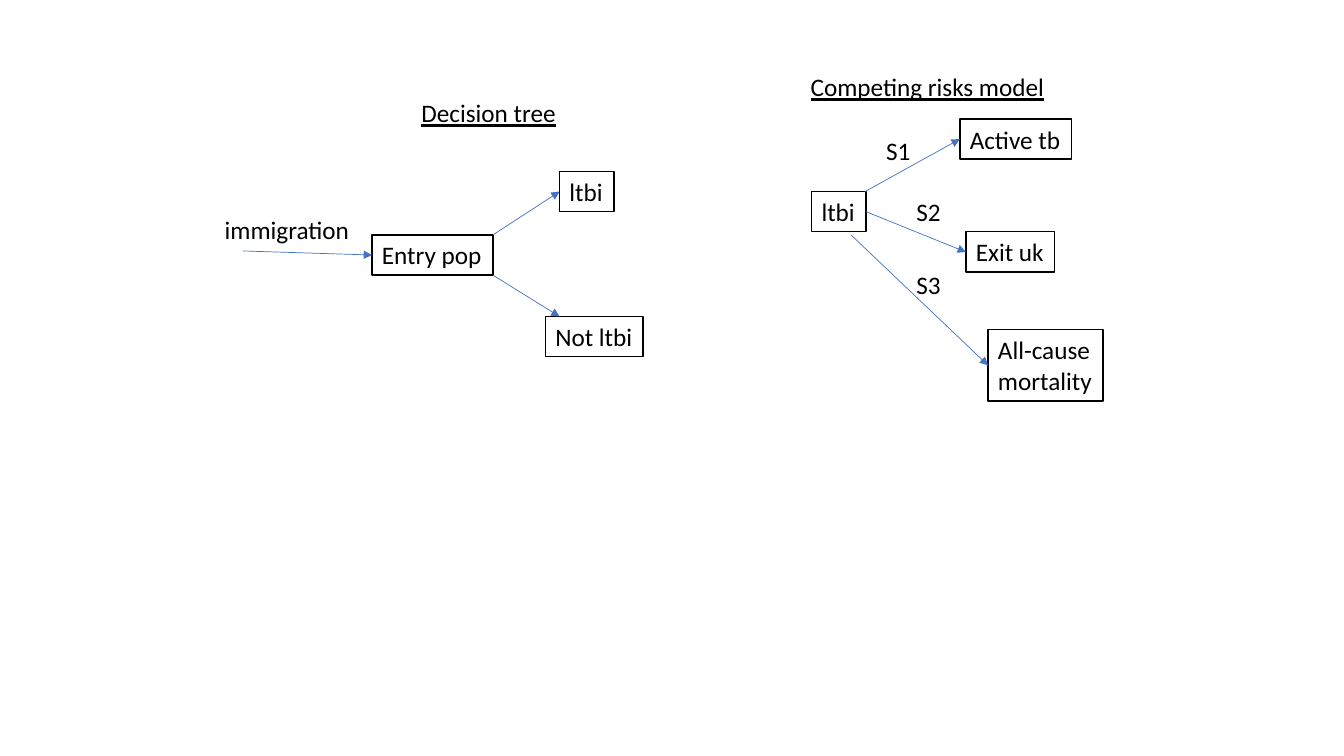
from dataclasses import dataclass

from lxml import etree
from pptx import Presentation
from pptx.dml.color import RGBColor
from pptx.enum.shapes import MSO_CONNECTOR, MSO_SHAPE
from pptx.enum.text import MSO_ANCHOR, MSO_AUTO_SIZE, PP_ALIGN
from pptx.oxml.ns import qn
from pptx.util import Inches, Pt

RECTANGLE = MSO_SHAPE.RECTANGLE
STRAIGHT = MSO_CONNECTOR.STRAIGHT
FIT_SHAPE = MSO_AUTO_SIZE.SHAPE_TO_FIT_TEXT
TOP = MSO_ANCHOR.TOP
LEFT = PP_ALIGN.LEFT

COMPARISON_LAYOUT = 4
LEFT_HEADING, RIGHT_HEADING = 1, 3
LEFT_SITE, RIGHT_SITE = 1, 3  # connection sites of a rectangle
CELL = Inches(1)  # the grid has square cells
COLUMNS, ROWS = 13.33, 7.5
TEXT_ROW = 0.4  # height of a single line of text with its margins


@dataclass(frozen=True)
class Theme:
    font: str = "Calibri"
    size: Pt = Pt(18)
    ink: RGBColor = RGBColor(0x00, 0x00, 0x00)
    paper: RGBColor = RGBColor(0xFF, 0xFF, 0xFF)
    accent: RGBColor = RGBColor(0x44, 0x72, 0xC4)
    border: Pt = Pt(1)
    arrow: Pt = Pt(0.5)


def cells(*lengths):
    return [round(length * CELL) for length in lengths]


def write_text(shape, text, *, theme, underline=False):
    """Fill a shape with one unwrapped paragraph per line of text."""
    frame = shape.text_frame
    frame.text = text
    frame.word_wrap = False
    frame.auto_size = FIT_SHAPE
    frame.vertical_anchor = TOP
    for paragraph in frame.paragraphs:
        paragraph.alignment = LEFT
        paragraph.space_before = Pt(0)
        font = paragraph.runs[0].font
        font.name, font.size, font.bold = theme.font, theme.size, False
        font.underline = underline
        font.color.rgb = theme.ink


class Diagram:
    def __init__(self, slide, theme):
        self.slide = slide
        self.theme = theme

    def heading(self, index, text, column, row, width):
        shape = self.slide.placeholders[index]
        shape.left, shape.top, shape.width, shape.height = cells(
            column, row, width, TEXT_ROW)
        write_text(shape, text, theme=self.theme, underline=True)

    def label(self, text, column, row, width):
        shape = self.slide.shapes.add_textbox(
            *cells(column, row, width, TEXT_ROW))
        write_text(shape, text, theme=self.theme)

    def box(self, text, column, row, width, height=TEXT_ROW):
        shape = self.slide.shapes.add_shape(
            RECTANGLE, *cells(column, row, width, height))
        shape.shadow.inherit = False
        shape.fill.solid()
        shape.fill.fore_color.rgb = self.theme.paper
        shape.line.color.rgb = self.theme.ink
        shape.line.width = self.theme.border
        write_text(shape, text, theme=self.theme)
        return shape

    def arrow(self, start, end):
        """Join two ends; each is a (column, row) point or a box.

        An arrow leaves a box on its right side and enters on its left.
        """
        start_point = cells(*start) if isinstance(start, tuple) else (0, 0)
        end_point = cells(*end) if isinstance(end, tuple) else (0, 0)
        connector = self.slide.shapes.add_connector(
            STRAIGHT, *start_point, *end_point)
        if not isinstance(start, tuple):
            connector.begin_connect(start, RIGHT_SITE)
        if not isinstance(end, tuple):
            connector.end_connect(end, LEFT_SITE)
        connector.line.color.rgb = self.theme.accent
        connector.line.width = self.theme.arrow
        outline = connector.line._get_or_add_ln()
        etree.SubElement(outline, qn("a:tailEnd"), type="triangle")
        etree.SubElement(connector._element.spPr, qn("a:effectLst"))

    def remove_empty_placeholders(self):
        for shape in list(self.slide.placeholders):
            if not shape.text_frame.text:
                shape._element.getparent().remove(shape._element)


presentation = Presentation()
presentation.slide_width, presentation.slide_height = cells(COLUMNS, ROWS)
slide = presentation.slides.add_slide(
    presentation.slide_layouts[COMPARISON_LAYOUT])
diagram = Diagram(slide, Theme())

# Decision tree
diagram.heading(LEFT_HEADING, "Decision tree", 4.08, 0.92, 1.55)
diagram.label("immigration", 2.13, 2.08, 1.45)
entry = diagram.box("Entry pop", 3.69, 2.33, 1.2)
infected = diagram.box("ltbi", 5.55, 1.7, 0.54)
diagram.box("Not ltbi", 5.41, 3.14, 0.97)
diagram.arrow((2.41, 2.49), entry)
diagram.arrow((4.89, 2.33), infected)
diagram.arrow((4.89, 2.73), (5.55, 3.14))

# Competing risks model
diagram.heading(RIGHT_HEADING, "Competing risks model", 7.94, 0.66, 2.55)
at_risk = diagram.box("ltbi", 8.05, 1.9, 0.54)
active = diagram.box("Active tb", 9.52, 1.18, 1.11)
leaving = diagram.box("Exit uk", 9.58, 2.3, 0.88)
death = diagram.box("All-cause\nmortality", 9.8, 3.27, 1.14, 0.71)
diagram.arrow((8.58, 1.9), active)
diagram.arrow(at_risk, leaving)
diagram.arrow((8.44, 2.33), death)

# Transition labels
transitions = [(8.69, 1.29), (8.99, 1.9), (8.99, 2.62)]
for number, (column, row) in enumerate(transitions, start=1):
    diagram.label(f"S{number}", column, row, 0.45)

diagram.remove_empty_placeholders()
presentation.save("out.pptx")
